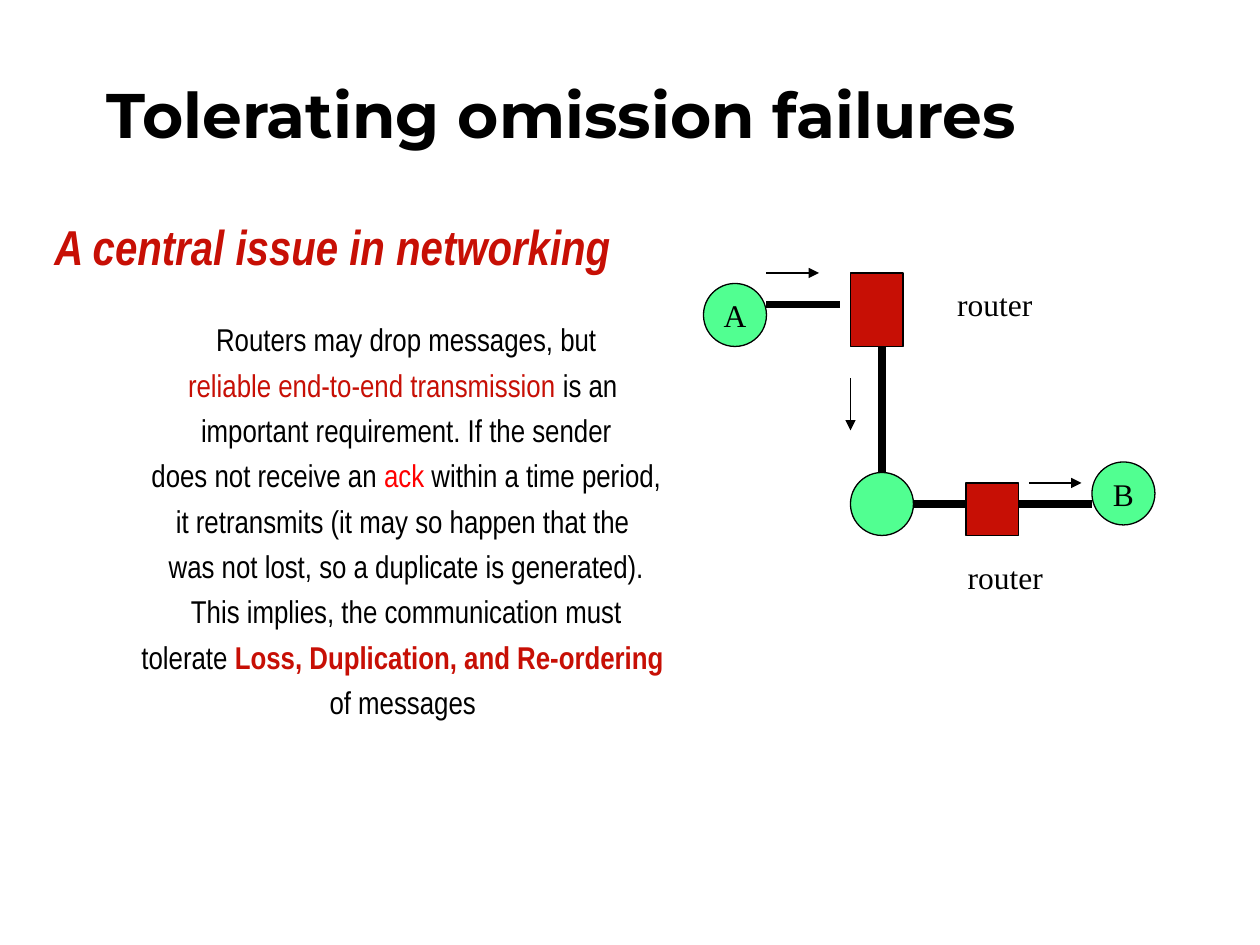
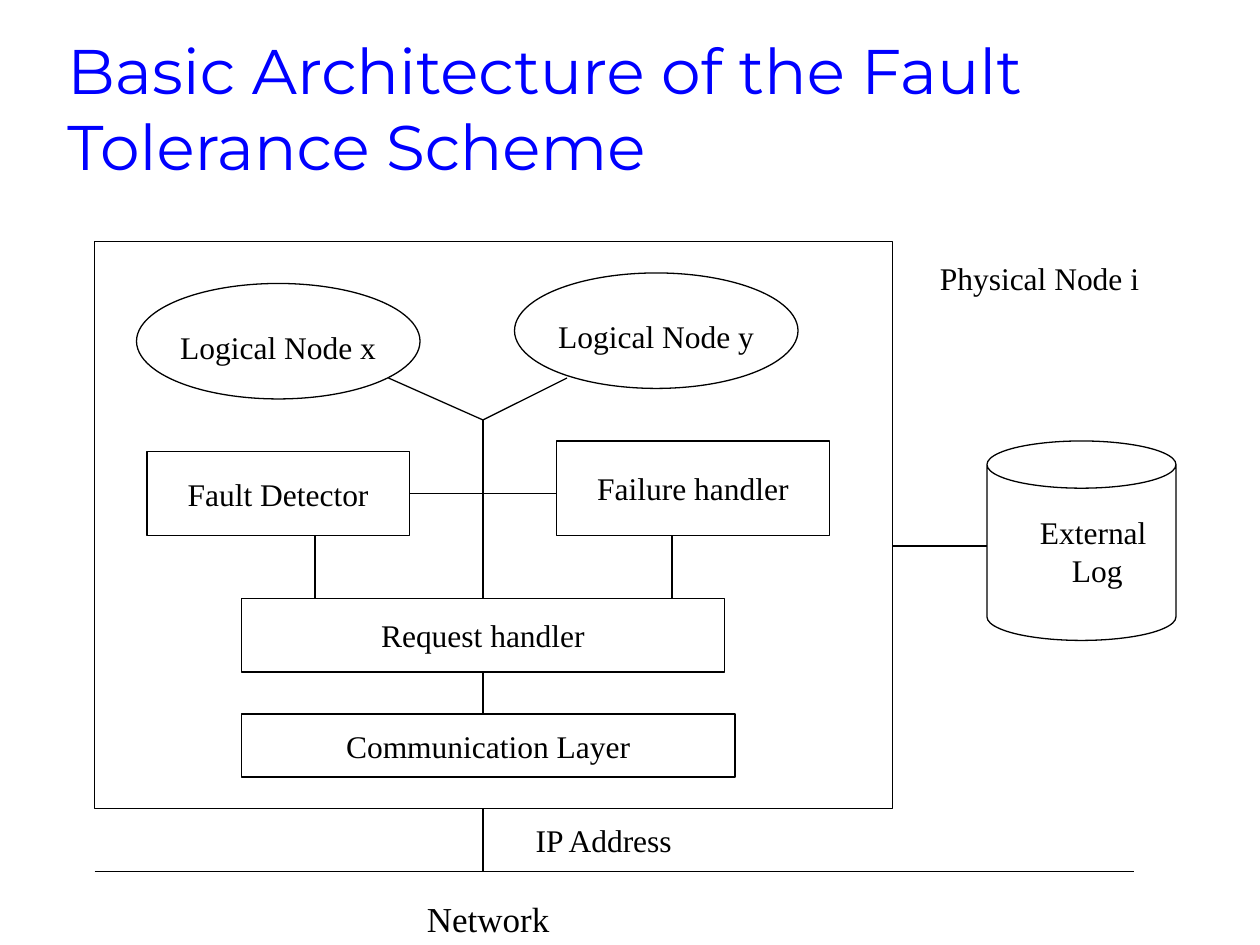
"""Builds two slides on fault tolerance, laid out on a grid of twelve cells to the inch."""
from lxml.etree import SubElement
from pptx import Presentation
from pptx.dml.color import RGBColor
from pptx.enum.shapes import MSO_CONNECTOR, MSO_SHAPE
from pptx.enum.text import MSO_ANCHOR, PP_ALIGN
from pptx.oxml.ns import qn
from pptx.util import Inches, Pt

BLACK, WHITE, RED, GREEN = "000000", "FFFFFF", "C70F05", "51FF91"
BRIGHT_RED, BLUE = "FF0000", "0000FF"
SERIF, NARROW, DISPLAY = "Times New Roman", "Arial Narrow", "Montserrat"
OVAL, BOX, CAN = MSO_SHAPE.OVAL, MSO_SHAPE.RECTANGLE, MSO_SHAPE.CAN
COLUMNS, ROWS, CELLS_PER_INCH = 120, 90, 12
THIN, THICK = 0.75, 4.5

OMISSION_LINES = [
    ["Routers may drop messages, but"],
    [("reliable end-to-end transmission", RED, False), " is an "],
    ["important requirement. If the sender"],
    ["does not receive an ", ("ack", BRIGHT_RED, False), " within a time period,"],
    ["it retransmits (it may so happen that the "],
    ["was not lost, so a duplicate is generated)."],
    ["This implies, the communication must"],
    ["tolerate ", ("Loss, Duplication, and Re-ordering ", RED, True)],
    ["of messages "],
]
NETWORK_NODES = [
    (OVAL, (67, 27, 6, 6), GREEN, "A"),
    (OVAL, (104, 44, 6, 6), GREEN, "B"),
    (OVAL, (81, 45, 6, 6), GREEN, ""),
    (BOX, (81, 26, 5, 7), RED, ""),
    (BOX, (92, 46, 5, 5), RED, ""),
]
NETWORK_LINKS = [(73, 29, 80, 29), (84, 33, 84, 45), (87, 48, 92, 48), (97, 48, 104, 48)]
MESSAGE_ARROWS = [(73, 26, 78, 26), (98, 46, 103, 46), (81, 36, 81, 41)]
ROUTER_LABELS = [(88.75, 26.6, 12, 4.8), (89.75, 52.6, 12, 4.8)]

LOGICAL_NODES = [("Logical Node y", 49, 26), ("Logical Node x", 13, 27)]
ARCHITECTURE_PARTS = [
    (BOX, (14, 43, 25, 8), "Fault Detector"),
    (BOX, (53, 42, 26, 9), "Failure handler"),
    (BOX, (23, 57, 46, 7), "Request handler"),
    (BOX, (23, 68, 47, 6), "Communication Layer"),
    (BOX, (9, 23, 76, 54), ""),
    (CAN, (94, 42, 18, 19), ""),
]
ARCHITECTURE_LINKS = [
    (37, 36, 46, 40), (54, 36, 46, 40), (46, 40, 46, 57), (39, 47, 53, 47),
    (30, 51, 30, 57), (64, 51, 64, 57), (46, 64, 46, 68), (46, 77, 46, 83),
    (9, 83, 108, 83), (85, 52, 94, 52),
]
ARCHITECTURE_LABELS = [
    ((46, 78, 23, 4), ["IP Address"], 18),
    ((23, 85, 47, 5), ["Network"], 20),
    ((96, 48, 17, 9), ["External ", "Log"], 18),
    ((88, 23, 22, 7), ["Physical Node i"], 18),
]


def cells(*counts):
    return [Inches(count / CELLS_PER_INCH) for count in counts]


def color(hex_text):
    return RGBColor.from_string(hex_text)


def write(box, lines, size=18, face=SERIF, ink=BLACK, bold=False, italic=False,
          align=PP_ALIGN.CENTER, anchor=MSO_ANCHOR.MIDDLE, spacing=None, wrap=False):
    frame = box.text_frame
    frame.word_wrap = wrap
    frame.vertical_anchor = anchor
    for index, line in enumerate(lines):
        para = frame.paragraphs[0] if index == 0 else frame.add_paragraph()
        para.alignment = align
        para.line_spacing = spacing
        para.font.size, para.font.name = Pt(size), face
        para.font.bold, para.font.italic = bold, italic
        para.font.color.rgb = color(ink)
        for part in [line] if isinstance(line, str) else line:
            span = para.add_run()
            if isinstance(part, str):
                span.text = part
            else:
                span.text, span_ink, span.font.bold = part
                span.font.color.rgb = color(span_ink)


def add_text(page, area, lines, **style):
    write(page.shapes.add_textbox(*cells(*area)), lines, **style)


def add_title(page, left, top, text, **style):
    add_text(page, (left, top, 102, 15), [text], size=36, face=DISPLAY,
             align=PP_ALIGN.LEFT, anchor=MSO_ANCHOR.BOTTOM, wrap=True, **style)


def add_part(page, kind, area, text="", fill=None, outlined=True):
    part = page.shapes.add_shape(kind, *cells(*area))
    part.shadow.inherit = False
    if fill:
        part.fill.solid()
        part.fill.fore_color.rgb = color(fill)
    else:
        part.fill.background()
    if outlined:
        part.line.color.rgb = color(BLACK)
        part.line.width = Pt(THIN)
    else:
        part.line.fill.background()
    if text:
        write(part, [text])


def add_links(page, links, width=THIN, arrow=False):
    for ends in links:
        link = page.shapes.add_connector(MSO_CONNECTOR.STRAIGHT, *cells(*ends))
        link.line.color.rgb = color(BLACK)
        link.line.width = Pt(width)
        if arrow:
            SubElement(link.line._get_or_add_ln(), qn("a:tailEnd"), type="triangle")
        SubElement(link._element.spPr, qn("a:effectLst"))


def build_omission(page):
    add_title(page, 9, 0, "Tolerating omission failures", bold=True)
    add_text(page, (4, 20, 87, 10), ["A central issue in networking"], size=28,
             face=NARROW, ink=RED, bold=True, italic=True, align=PP_ALIGN.LEFT,
             anchor=MSO_ANCHOR.TOP, wrap=True)
    add_links(page, NETWORK_LINKS, THICK)
    for kind, area, fill, text in NETWORK_NODES:
        add_part(page, kind, area, text, fill)
    add_links(page, MESSAGE_ARROWS, arrow=True)
    for area in ROUTER_LABELS:
        add_text(page, area, ["router"], anchor=MSO_ANCHOR.TOP)
    add_text(page, (11.7, 29.2, 54, 40), OMISSION_LINES, face=NARROW,
             anchor=MSO_ANCHOR.TOP, spacing=1.2)


def build_architecture(page):
    add_title(page, 5.25, 3, "Basic Architecture of the Fault Tolerance Scheme", ink=BLUE)
    for name, left, top in LOGICAL_NODES:
        add_part(page, OVAL, (left, top, 27, 11))
        add_part(page, BOX, (left + 4, top + 3, 19, 6), name, WHITE, outlined=False)
    for kind, area, text in ARCHITECTURE_PARTS:
        add_part(page, kind, area, text)
    add_links(page, ARCHITECTURE_LINKS)
    for area, lines, size in ARCHITECTURE_LABELS:
        add_text(page, area, lines, size=size)


def main():
    deck = Presentation()
    deck.slide_width, deck.slide_height = cells(COLUMNS, ROWS)
    for build in (build_omission, build_architecture):
        build(deck.slides.add_slide(deck.slide_layouts[6]))
    deck.save("out.pptx")


if __name__ == "__main__":
    main()
